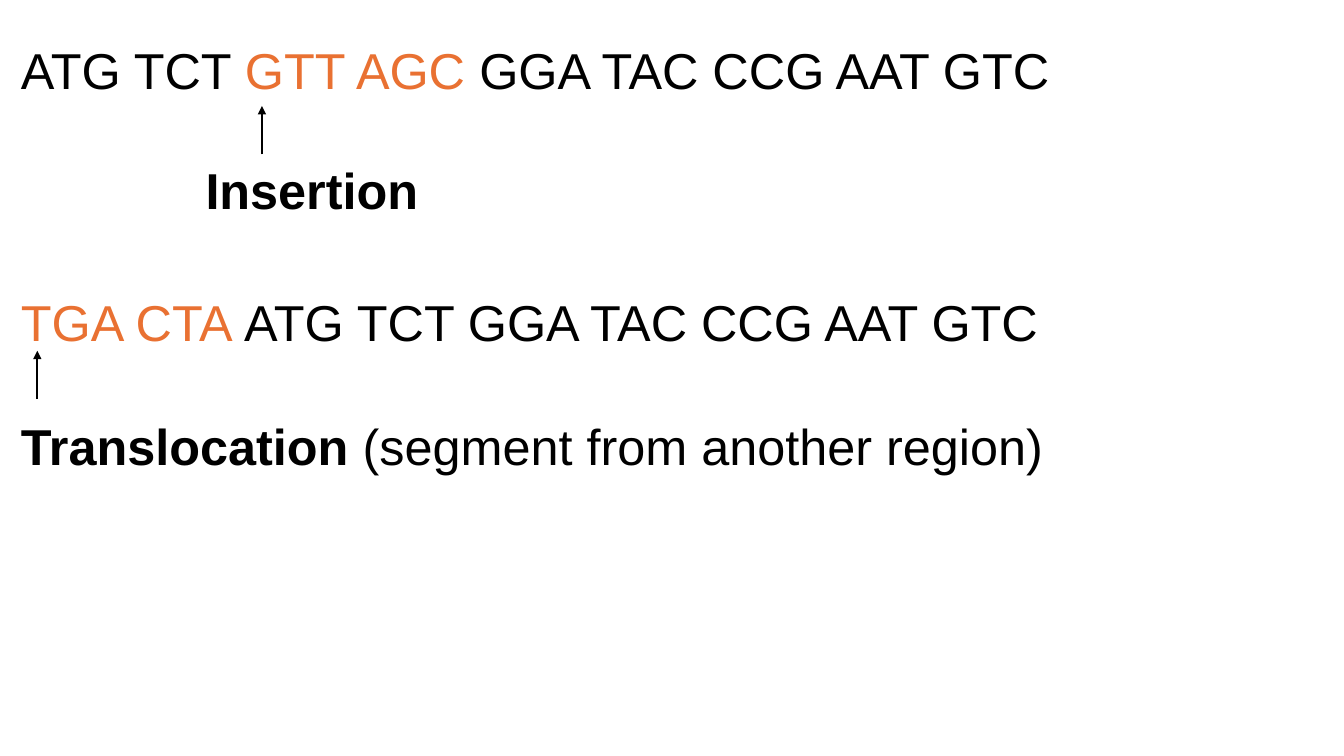
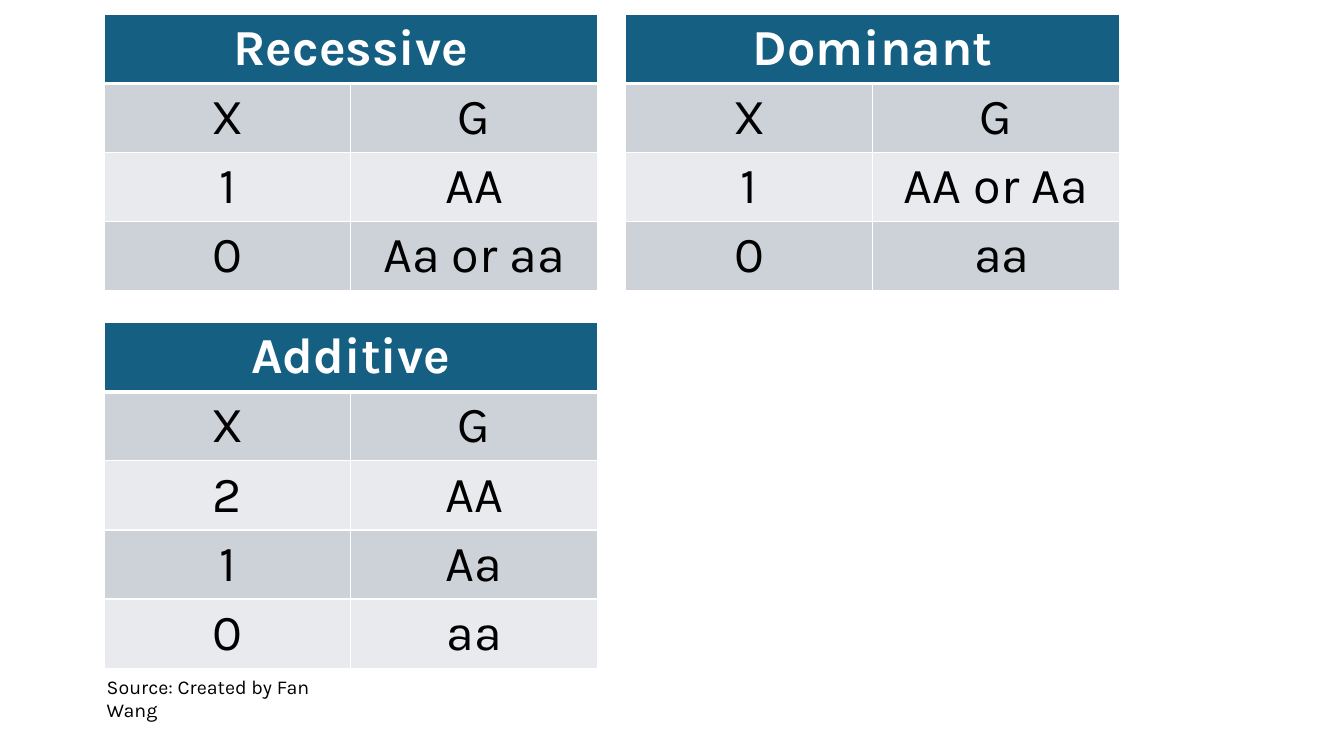
import pptx
import pptx.dml.color
import pptx.enum.shapes
import pptx.enum.text
import pptx.oxml.ns
import pptx.util
from dataclasses import dataclass
from lxml import etree

Cm = pptx.util.Cm
Pt = pptx.util.Pt
qn = pptx.oxml.ns.qn


@dataclass(frozen=True)
class Theme:
    ink: str = "000000"
    accent: str = "E97132"
    white: str = "FFFFFF"
    header: str = "156082"
    bands: tuple = ("CCD2D8", "E8EAED")
    sequence_font: str = "Arial"
    table_font: str = "Karla"
    large: int = 36
    small: int = 14
    arrow_width: float = 1.5
    border: int = 1
    header_border: int = 3


class SlideBuilder:
    """Holds the theme, the deck and the current page."""

    def __init__(self, theme):
        self.theme = theme
        self.deck = pptx.Presentation()
        self.deck.slide_width = Cm(33.87)
        self.deck.slide_height = Cm(19.05)
        self.page = None

    def new_page(self):
        self.page = self.deck.slides.add_slide(self.deck.slide_layouts[6])

    def style(self, span, font, size, color, bold=False):
        span.font.name = font
        span.font.size = Pt(size)
        span.font.bold = bold
        span.font.color.rgb = pptx.dml.color.RGBColor.from_string(color)

    def text(self, left, top, width, height, spans, font, size, wrap=False):
        """Add one line of text; each span is (words, colour, bold)."""
        box = self.page.shapes.add_textbox(Cm(left), Cm(top), Cm(width), Cm(height))
        frame = box.text_frame
        frame.word_wrap = wrap
        frame.auto_size = pptx.enum.text.MSO_AUTO_SIZE.SHAPE_TO_FIT_TEXT
        for words, color, bold in spans:
            span = frame.paragraphs[0].add_run()
            span.text = words
            self.style(span, font, size, color, bold)

    def sequence(self, left, top, width, *spans, wrap=False):
        self.text(left, top, width, 1.8, spans,
                  self.theme.sequence_font, self.theme.large, wrap)

    def arrow_up(self, x, bottom, length=1.22):
        arrow = self.page.shapes.add_connector(
            pptx.enum.shapes.MSO_CONNECTOR.STRAIGHT,
            Cm(x), Cm(bottom), Cm(x), Cm(bottom - length))
        arrow.line.color.rgb = pptx.dml.color.RGBColor.from_string(self.theme.ink)
        arrow.line.width = Pt(self.theme.arrow_width)
        properties = arrow._element.spPr
        etree.SubElement(properties.find(qn("a:ln")), qn("a:tailEnd"), type="triangle")
        etree.SubElement(properties, qn("a:effectLst"))

    def cell_borders(self, cell, top, bottom):
        properties = cell._tc.get_or_add_tcPr()
        side = self.theme.border
        widths = {"a:lnL": side, "a:lnR": side, "a:lnT": top, "a:lnB": bottom}
        for index, (tag, width) in enumerate(widths.items()):
            line = etree.Element(qn(tag), w=str(Pt(width)))
            fill = etree.SubElement(line, qn("a:solidFill"))
            etree.SubElement(fill, qn("a:srgbClr"), val=self.theme.white)
            properties.insert(index, line)

    def genotype_table(self, left, top, title, rows, column_width=6.22, row_height=1.74):
        """Add a two-column table under one merged heading."""
        theme = self.theme
        content = [(title, ""), ("X", "G"), *rows]
        table = self.page.shapes.add_table(
            len(content), 2, Cm(left), Cm(top),
            Cm(2 * column_width), Cm(row_height * len(content))).table
        table.cell(0, 0).merge(table.cell(0, 1))
        for row_index, values in enumerate(content):
            heading = row_index == 0
            fill = theme.header if heading else theme.bands[(row_index - 1) % 2]
            color = theme.white if heading else theme.ink
            above = theme.header_border if row_index == 1 else theme.border
            below = theme.header_border if heading else theme.border
            for column_index, value in enumerate(values):
                cell = table.cell(row_index, column_index)
                cell.fill.solid()
                cell.fill.fore_color.rgb = pptx.dml.color.RGBColor.from_string(fill)
                self.cell_borders(cell, above, below)
                if cell.is_spanned:
                    continue
                cell.text_frame.text = value
                para = cell.text_frame.paragraphs[0]
                para.alignment = pptx.enum.text.PP_ALIGN.CENTER
                self.style(para.runs[0], theme.table_font, theme.large, color, heading)


def mutation_page(builder):
    ink, accent = builder.theme.ink, builder.theme.accent
    left = 0.28
    builder.new_page()

    # Insertion
    builder.sequence(left, 0.86, 29, ("ATG TCT ", ink, False),
                     ("GTT AGC ", accent, False),
                     ("GGA TAC CCG AAT GTC", ink, False), wrap=True)
    builder.arrow_up(6.6, 3.89)
    builder.sequence(4.93, 3.89, 5.92, ("Insertion", ink, True))

    # Translocation
    builder.sequence(left, 7.21, 26.34, ("TGA CTA ", accent, False),
                     ("ATG TCT GGA TAC CCG AAT GTC", ink, False))
    builder.arrow_up(0.94, 10.06)
    builder.sequence(left, 10.34, 26.52, ("Translocation", ink, True),
                     (" (segment from another region)", ink, False))


def genotype_page(builder):
    theme = builder.theme
    left, right, upper, lower = 2.62, 15.77, 0.36, 8.13
    builder.new_page()

    # Coding of each genetic model
    models = [
        (left, upper, "Recessive", [("1", "AA"), ("0", "Aa or aa")]),
        (right, upper, "Dominant", [("1", "AA or Aa"), ("0", " aa")]),
        (left, lower, "Additive", [("2", "AA"), ("1", "Aa"), ("0", "aa")]),
    ]
    for model in models:
        builder.genotype_table(*model)

    # Source line
    builder.text(2.44, 16.87, 6.3, 0.86,
                 [("Source: Created by Fan Wang", theme.ink, False)],
                 theme.table_font, theme.small, wrap=True)


def main():
    builder = SlideBuilder(Theme())
    mutation_page(builder)
    genotype_page(builder)
    builder.deck.save("out.pptx")


if __name__ == "__main__":
    main()
